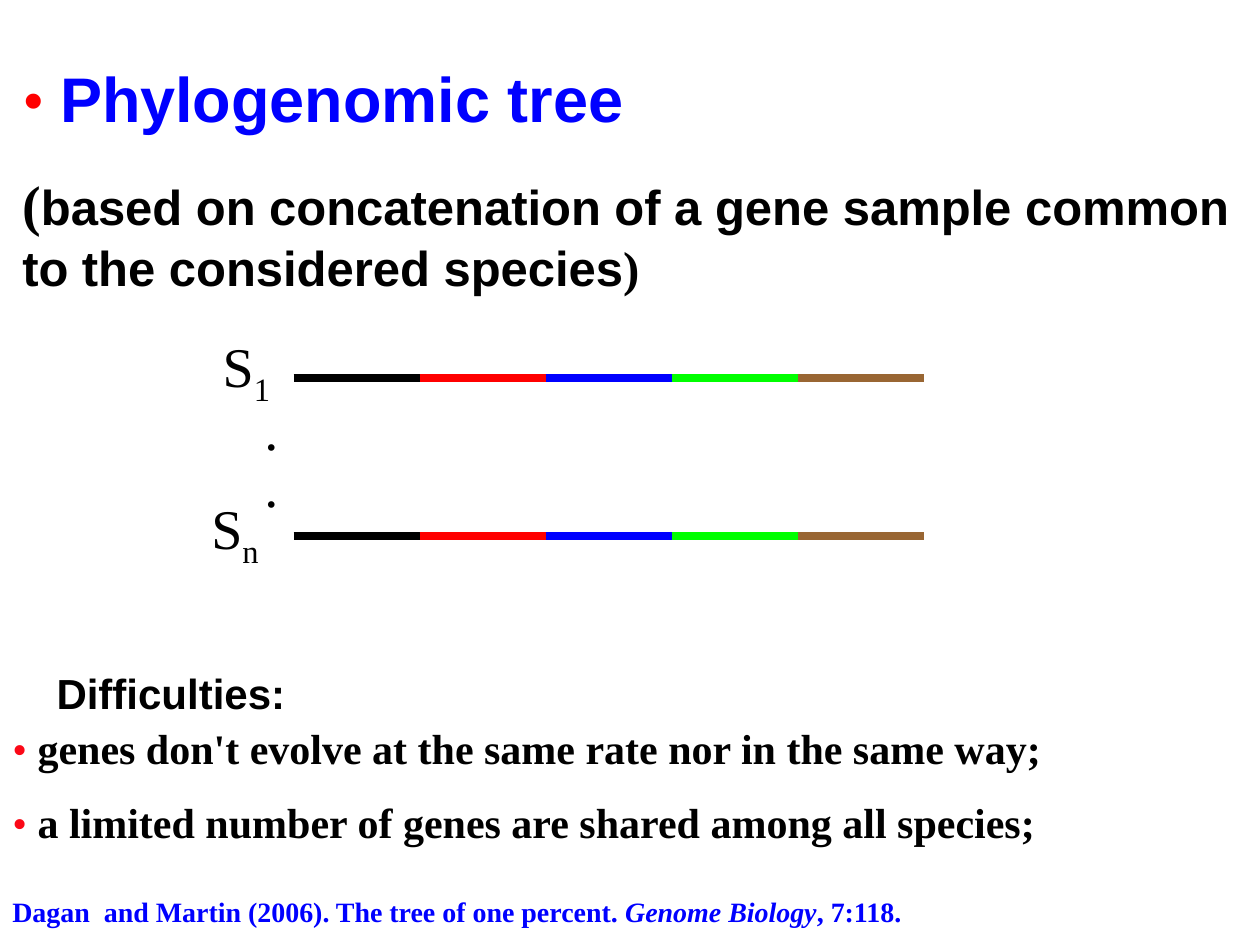
import dataclasses

import pptx
import pptx.dml.color
import pptx.enum.shapes
import pptx.enum.text
import pptx.oxml
import pptx.oxml.ns
import pptx.util

Cm = pptx.util.Cm
Pt = pptx.util.Pt


@dataclasses.dataclass(frozen=True)
class Theme:
    sans: str = "Arial"
    serif: str = "Times New Roman"
    black: str = "000000"
    red: str = "FF0000"
    bullet_red: str = "FB0817"
    blue: str = "0000FF"
    green: str = "00FF00"
    brown: str = "996633"
    title_size: int = 36
    label_size: int = 32
    subtitle_size: int = 28
    body_size: int = 24
    citation_size: int = 16
    gene_width: float = 4.5


THEME = Theme()


@dataclasses.dataclass(frozen=True)
class Span:
    text: str
    size: int
    font: str = THEME.serif
    color: str = THEME.black
    bold: bool = False
    italic: bool = False
    subscript: bool = False


def rgb(color):
    return pptx.dml.color.RGBColor.from_string(color)


def write_spans(paragraph, spans):
    for span in spans:
        run = paragraph.add_run()
        run.text = span.text
        run.font.size = Pt(span.size)
        run.font.name = span.font
        run.font.color.rgb = rgb(span.color)
        run.font.bold = span.bold
        run.font.italic = span.italic
        if span.subscript:
            run.font._element.set("baseline", "-25000")


def add_text(shapes, left, top, width, height, *lines, wrap=True):
    """Add a text box with one paragraph for each list of spans."""
    frame = shapes.add_textbox(Cm(left), Cm(top), Cm(width), Cm(height)).text_frame
    frame.word_wrap = wrap
    frame.auto_size = pptx.enum.text.MSO_AUTO_SIZE.SHAPE_TO_FIT_TEXT
    for index, spans in enumerate(lines):
        paragraph = frame.add_paragraph() if index else frame.paragraphs[0]
        if index:
            paragraph.space_before = Pt(20)
        write_spans(paragraph, spans)


def add_gene(shapes, left, y, length, color):
    gene = shapes.add_connector(
        pptx.enum.shapes.MSO_CONNECTOR.STRAIGHT,
        Cm(left), Cm(y), Cm(left + length), Cm(y))
    gene.line.color.rgb = rgb(color)
    gene.line.width = Pt(THEME.gene_width)
    gene._element.spPr.append(pptx.oxml.parse_xml(
        f'<a:effectLst {pptx.oxml.ns.nsdecls("a")}/>'))


def add_genome(shapes, y):
    """Add the concatenated genes of one species."""
    length = 2.54
    colors = (THEME.black, THEME.red, THEME.blue, THEME.green, THEME.brown)
    for index, color in enumerate(colors):
        add_gene(shapes, 5.92 + index * length, y, length, color)


def add_species_label(shapes, left, top, width, subscript):
    add_text(shapes, left, top, width, 1.6, [
        Span("S", THEME.label_size),
        Span(subscript, THEME.label_size, subscript=True)])


def add_heading(shapes):
    add_text(
        shapes, 0.2, 1.07, 24.97, 5,
        [Span("• ", THEME.title_size, color=THEME.red),
         Span("Phylogenomic tree", THEME.title_size, THEME.sans, THEME.blue, bold=True)],
        [Span("(", THEME.label_size, bold=True),
         Span("based on concatenation of a gene sample common to the considered species",
              THEME.subtitle_size, THEME.sans, bold=True),
         Span(")", THEME.subtitle_size, bold=True)])


def add_alignment(shapes):
    """Add the species labels, the dots between them and their genes."""
    add_species_label(shapes, 4.24, 6.55, 1.9, "1")
    add_species_label(shapes, 4.01, 9.83, 2.12, "n")
    dot = [Span(".", THEME.label_size)]
    add_text(shapes, 5.08, 7.82, 1.06, 1.6, dot)
    add_text(shapes, 5.08, 8.97, 0.79, 1.6, dot, wrap=False)
    for y in (7.62, 10.8):
        add_genome(shapes, y)


def add_difficulties(shapes):
    add_text(shapes, 0.89, 13.34, 13.21, 1.27, [
        Span("Difficulties:", THEME.body_size, THEME.sans, bold=True)])
    difficulties = (
        "genes don't evolve at the same rate nor in the same way;",
        "a limited number of genes are shared among all species;",
    )
    for index, difficulty in enumerate(difficulties):
        add_text(shapes, 0, 14.45 + index * 1.48, 25.4, 1.27, [
            Span("• ", THEME.body_size, color=THEME.bullet_red),
            Span(difficulty, THEME.body_size, bold=True)])


def add_citation(shapes):
    parts = (
        ("Dagan  and Martin (2006). The tree of one percent. ", False),
        ("Genome Biology", True),
        (", 7:118.", False),
    )
    add_text(shapes, 0, 17.91, 19.05, 0.94, [
        Span(text, THEME.citation_size, color=THEME.blue, bold=True, italic=italic)
        for text, italic in parts])


def main():
    presentation = pptx.Presentation()
    presentation.slide_width = Cm(25.4)
    presentation.slide_height = Cm(19.05)
    slide = presentation.slides.add_slide(presentation.slide_layouts[6])
    add_heading(slide.shapes)
    add_alignment(slide.shapes.add_group_shape().shapes)
    add_difficulties(slide.shapes)
    add_citation(slide.shapes)
    presentation.save("out.pptx")


if __name__ == "__main__":
    main()
